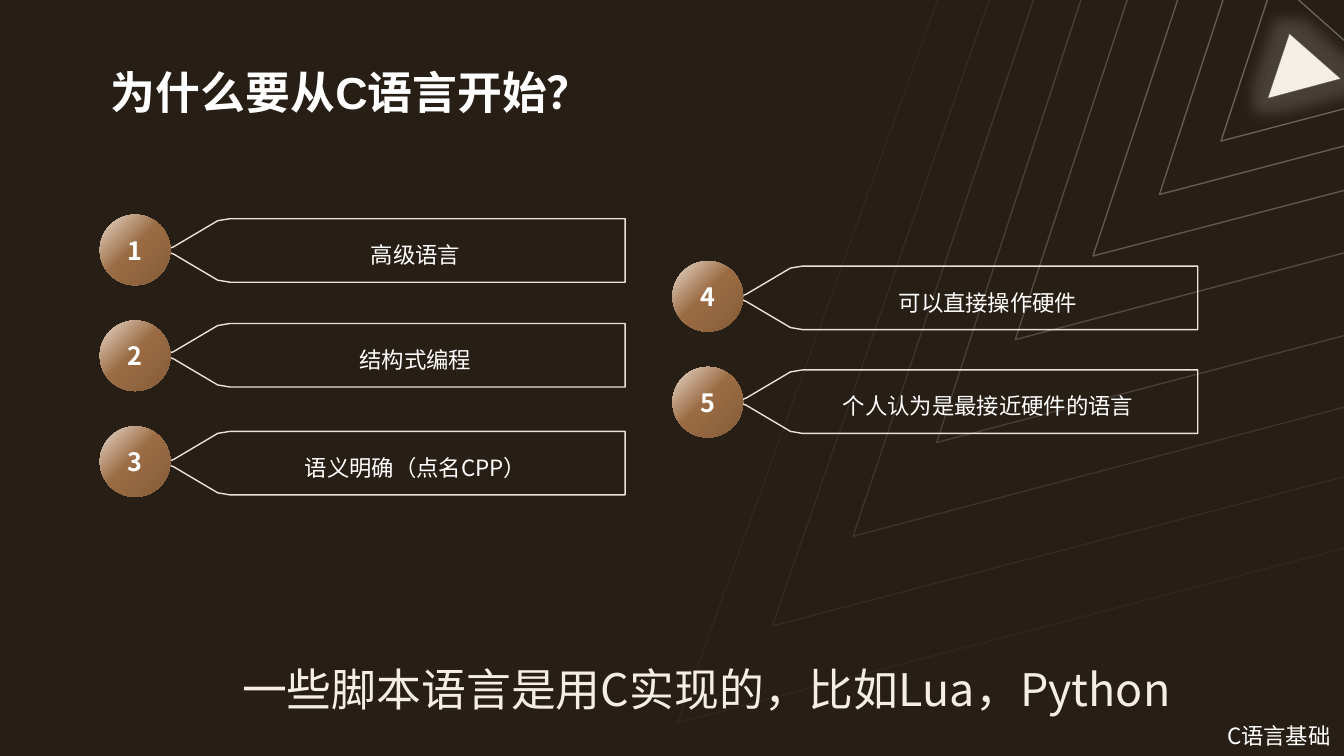
import copy

import pptx
import pptx.dml.color
import pptx.enum.shapes
import pptx.enum.text
import pptx.oxml
import pptx.oxml.ns
import pptx.util

Inches, Pt = pptx.util.Inches, pptx.util.Pt
RGBColor = pptx.dml.color.RGBColor
ALIGN = pptx.enum.text.PP_ALIGN
ANCHOR = pptx.enum.text.MSO_ANCHOR
qn = pptx.oxml.ns.qn

# Content
TITLE = "为什么要从C语言开始？"
FOOTER = "C语言基础"
REMARK = "一些脚本语言是用C实现的，比如Lua，Python"
# Each column: badge left, first badge top, [(label top, reason)]
COLUMNS = [
    (0.99, 2.13, [(2.17, "高级语言"), (3.21, "结构式编程"), (4.28, "语义明确（点名CPP）")]),
    (6.67, 2.59, [(2.64, "可以直接操作硬件"), (3.67, "个人认为是最接近硬件的语言")]),
]

# Nested outlines: y at the right edge, corner x and y, x at the top edge, opacity %
RAYS = [
    (1.45, 11.5, 1.93, 12.13, 28),
    (1.89, 10.84, 2.54, 11.68, 25),
    (2.51, 10.07, 3.37, 11.18, 20),
    (3.33, 9.29, 4.39, 10.72, 15),
    (4.04, 8.46, 5.32, 10.25, 10),
    (4.73, 7.66, 6.21, 9.81, 5),
    (5.44, 6.72, 7.17, 9.3, 3),
    (1.08, 12.11, 1.4, 12.57, 30),
]
TRIANGLE = [(12.79, 0.34), (13.29, 0.78), (12.58, 0.97)]

# Style
BACKGROUND = RGBColor(0x27, 0x1E, 0x15)
WHITE = RGBColor(0xFF, 0xFF, 0xFF)
CREAM = RGBColor(0xF5, 0xEE, 0xE7)
LABEL_LINE = RGBColor(0xEE, 0xE1, 0xD7)
BADGE_STOPS = [
    (0, RGBColor(0xE9, 0xDA, 0xCD)),
    (0.47, RGBColor(0x9B, 0x6C, 0x43)),
    (1, RGBColor(0x84, 0x5C, 0x39)),
]
CJK = "Noto Sans CJK SC"

# Geometry
WIDTH, HEIGHT = 13.33, 7.5
BADGE_SIZE, BADGE_PITCH = 0.7, 1.05
LABEL_OFFSET, LABEL_WIDTH, LABEL_HEIGHT = 0.69, 4.52, 0.63
# Upper half of a label, from the rounded tip to the top right corner
LABEL_TOP = [(0, 0.31), (0.01, 0.29), (0.04, 0.28), (0.48, 0.02),
             (0.54, 0.01), (0.6, 0), (LABEL_WIDTH, 0)]
LABEL_OUTLINE = LABEL_TOP + [(x, LABEL_HEIGHT - y) for x, y in reversed(LABEL_TOP)]


def write(shape, text, size, color, align=ALIGN.CENTER, anchor=ANCHOR.MIDDLE,
          insets=(0, 0, 0, 0), spacing=1, bold=False, latin=CJK):
    frame = shape.text_frame
    frame.text = text
    frame.word_wrap = True
    frame.auto_size = pptx.enum.text.MSO_AUTO_SIZE.NONE
    frame.vertical_anchor = anchor
    (frame.margin_left, frame.margin_top,
     frame.margin_right, frame.margin_bottom) = map(Inches, insets)
    paragraph = frame.paragraphs[0]
    paragraph.alignment = align
    paragraph.line_spacing = spacing
    font = paragraph.runs[0].font
    font.name, font.size, font.bold = latin, Pt(size), bold
    font.color.rgb = color
    east_asian = pptx.oxml.parse_xml(
        f'<a:ea {pptx.oxml.ns.nsdecls("a")} typeface="{CJK}"/>')
    paragraph.runs[0]._r.rPr.find(qn("a:latin")).addnext(east_asian)


def outline(points, color, opacity=100, closed=True):
    corners = [(Inches(x), Inches(y)) for x, y in points]
    builder = slide.shapes.build_freeform(*corners[0], scale=1.0)
    builder.add_line_segments(corners[1:], close=closed)
    shape = builder.convert_to_shape()
    shape.shadow.inherit = False
    shape.fill.background()
    shape.line.color.rgb = color
    shape.line.width = Pt(1)
    if opacity < 100:
        stroke = shape.line._ln.find(".//" + qn("a:srgbClr"))
        stroke.append(pptx.oxml.parse_xml(
            f'<a:alpha {pptx.oxml.ns.nsdecls("a")} val="{opacity * 1000}"/>'))
    return shape


def add_label(left, top, reason):
    label = outline([(left + x, top + y) for x, y in LABEL_OUTLINE], LABEL_LINE)
    write(label, reason, 16, WHITE, insets=(0.71, 0, 0.35, 0.05), spacing=1.5)


def add_badge(left, top, number):
    badge = slide.shapes.add_shape(
        pptx.enum.shapes.MSO_SHAPE.OVAL, Inches(left), Inches(top),
        Inches(BADGE_SIZE), Inches(BADGE_SIZE))
    badge.shadow.inherit = False
    badge.line.fill.background()
    badge.fill.gradient()
    badge.fill.gradient_angle = 315
    stop_list = badge._element.spPr.find(".//" + qn("a:gsLst"))
    stop_list.append(copy.deepcopy(stop_list[-1]))
    for stop, (position, color) in zip(badge.fill.gradient_stops, BADGE_STOPS):
        stop.position = position
        stop.color.rgb = color
    write(badge, str(number), 18, WHITE, bold=True)


def add_text(left, top, width, height, text, size, color, **style):
    box = slide.shapes.add_textbox(*map(Inches, (left, top, width, height)))
    write(box, text, size, color, **style)


deck = pptx.Presentation()
deck.slide_width, deck.slide_height = Inches(WIDTH), Inches(HEIGHT)
slide = deck.slides.add_slide(deck.slide_layouts[5])
slide.background.fill.solid()
slide.background.fill.fore_color.rgb = BACKGROUND

# Glowing triangle and the outlines around it
triangle = outline(TRIANGLE, WHITE, 20)
triangle.fill.solid()
triangle.fill.fore_color.rgb = CREAM
triangle._element.spPr.find(qn("a:effectLst")).append(pptx.oxml.parse_xml(
    f'<a:glow {pptx.oxml.ns.nsdecls("a")} rad="{Inches(0.28)}">'
    f'<a:srgbClr val="{CREAM}"><a:alpha val="16000"/></a:srgbClr></a:glow>'))
outline([(12.88, 0), (WIDTH, 0.4)], WHITE, 30, closed=False)
for edge_y, corner_x, corner_y, top_x, opacity in RAYS:
    outline([(WIDTH, edge_y), (corner_x, corner_y), (top_x, 0)],
            WHITE, opacity, closed=False)

# Title
title = slide.shapes.title
title.left, title.top, title.width, title.height = map(Inches, (1.1, 0.39, 11.47, 0.79))
write(title, TITLE, 32, WHITE, align=ALIGN.LEFT, anchor=ANCHOR.BOTTOM,
      bold=True, latin="Arial")

# Numbered reasons
number = 0
for badge_left, first_top, reasons in COLUMNS:
    for row, (label_top, reason) in enumerate(reasons):
        number += 1
        add_label(badge_left + LABEL_OFFSET, label_top, reason)
        add_badge(badge_left, first_top + row * BADGE_PITCH, number)

# Closing remark and footer
add_text(1.1, 6.31, 11.81, 0.79, REMARK, 32, CREAM, anchor=ANCHOR.BOTTOM)
add_text(12.17, 7.03, 1.17, 0.47, FOOTER, 16, WHITE, align=ALIGN.LEFT,
         anchor=ANCHOR.TOP, spacing=1.5)

deck.save("out.pptx")
